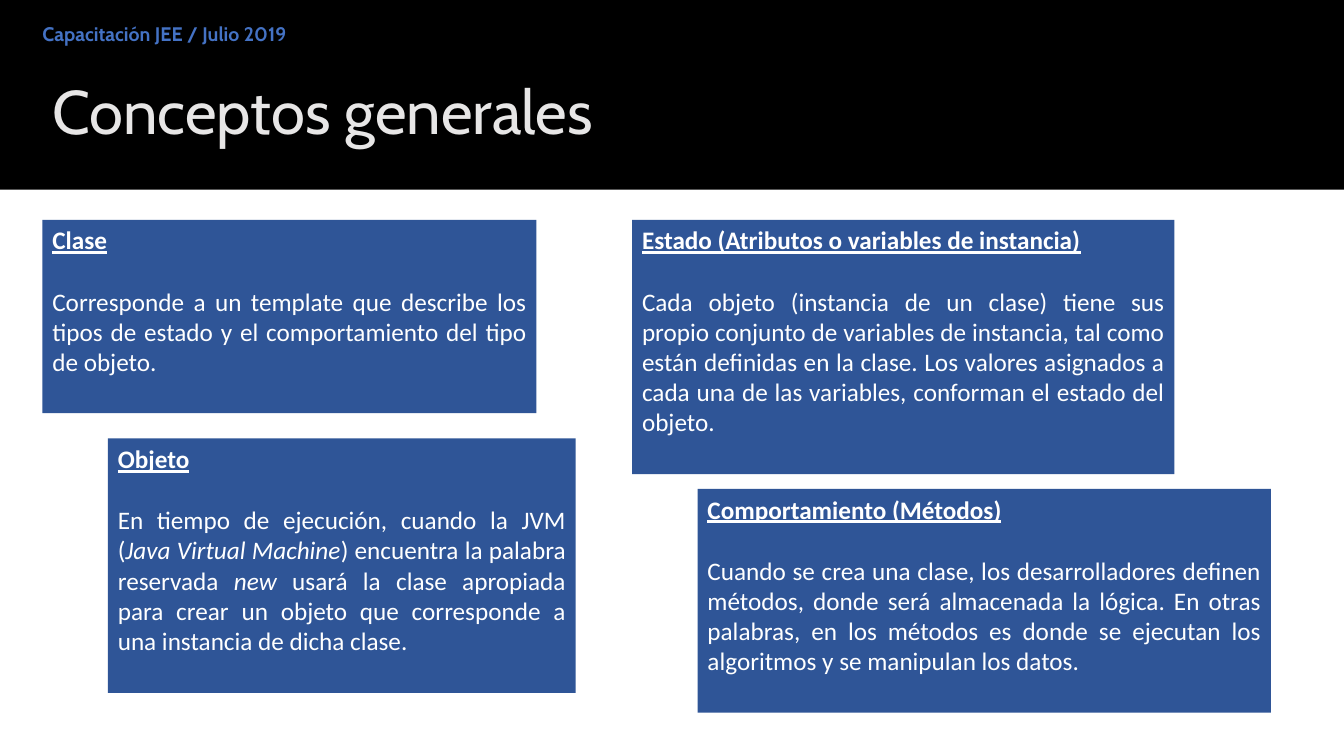
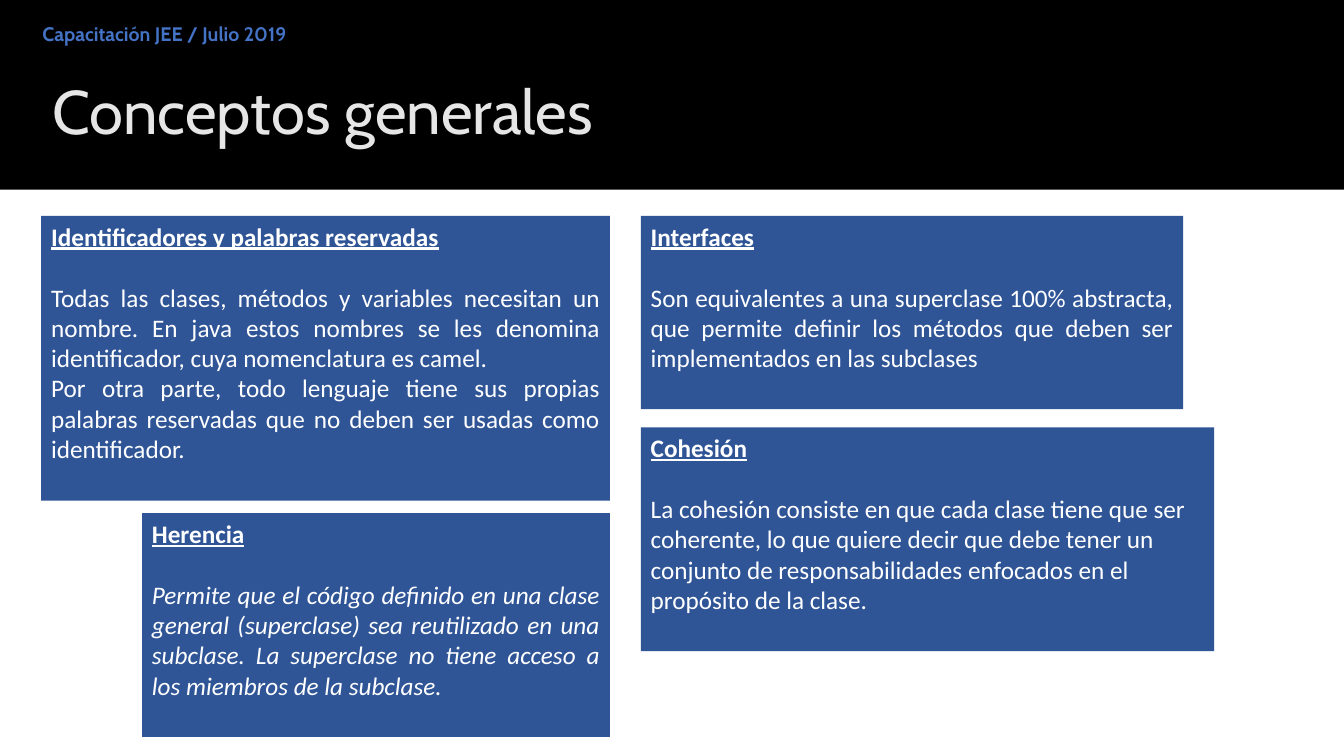
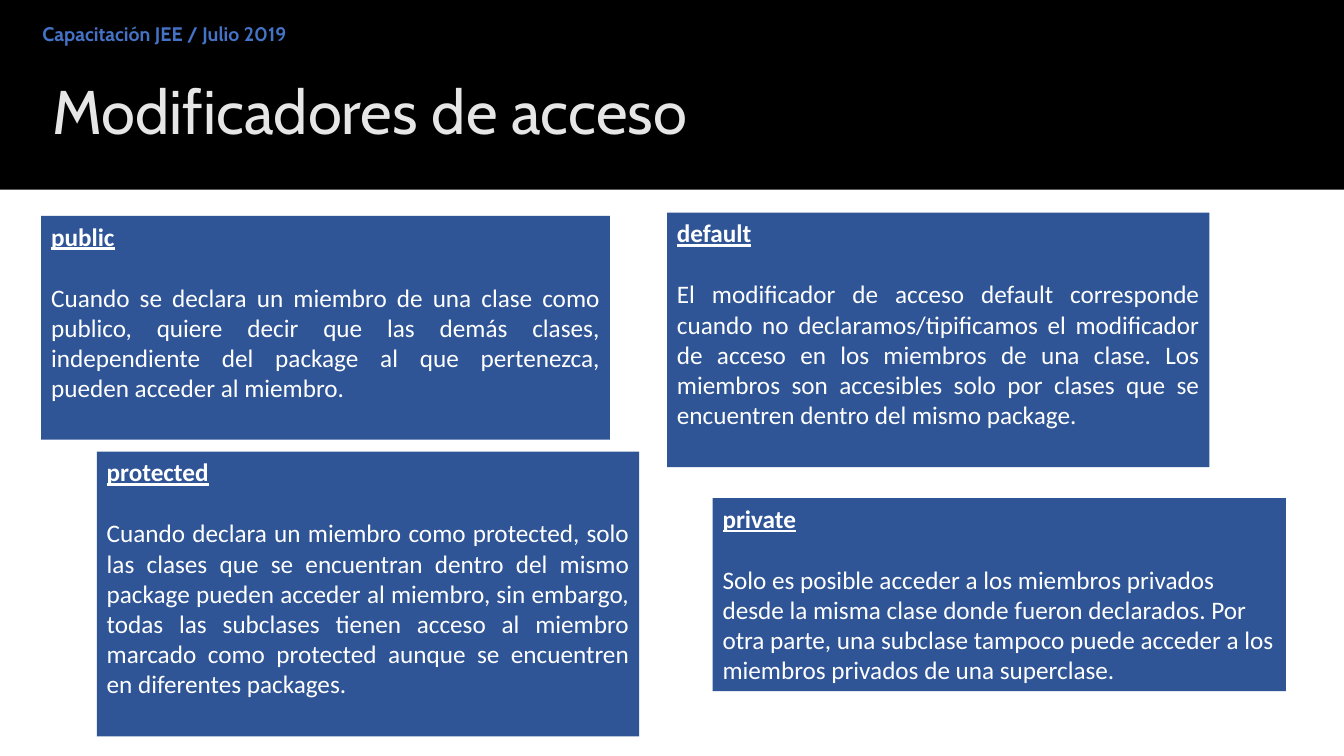
"""Build three training slides on Java concepts and access modifiers."""
from lxml.etree import SubElement
from pptx import Presentation
from pptx.dml.color import RGBColor
from pptx.enum.shapes import MSO_SHAPE
from pptx.enum.text import MSO_ANCHOR, MSO_AUTO_SIZE, PP_ALIGN
from pptx.oxml.ns import qn
from pptx.util import Cm, Pt

BLACK, WHITE, GREY = "000000", "FFFFFF", "E7E6E6"
BLUE, NAVY = "4472C4", "2F5597"
HEAD, TEXT = "Cabin", "Calibri"
WIDE, HIGH, BAND = 33.87, 19.05, 4.78
PAD, LINE = 0.25, 0.77
LEFT, FULL = PP_ALIGN.LEFT, PP_ALIGN.JUSTIFY
COURSE = "Capacitación JEE / Julio 2019"

# Each box: left, top, width (cm), lines tall, alignment, heading, paragraphs (*italic*)
SLIDES = [
    ("Conceptos generales", [
        (1.07, 5.54, 12.45, 6, FULL, "Clase", [
            "Corresponde a un template que describe los tipos de estado y el "
            "comportamiento del tipo de objeto."]),
        (2.72, 11.05, 11.79, 8, FULL, "Objeto", [
            "En tiempo de ejecución, cuando la JVM (*Java Virtual Machine*) "
            "encuentra la palabra reservada *new *usará la clase apropiada para "
            "crear un objeto que corresponde a una instancia de dicha clase."]),
        (15.93, 5.54, 13.67, 8, FULL, "Estado (Atributos o variables de instancia)", [
            "Cada objeto (instancia de un clase) tiene sus propio conjunto de "
            "variables de instancia, tal como están definidas en la clase. Los "
            "valores asignados a cada una de las variables, conforman el estado "
            "del objeto."]),
        (17.58, 12.32, 14.45, 7, FULL, "Comportamiento (Métodos)", [
            "Cuando se crea una clase, los desarrolladores definen métodos, donde "
            "será almacenada la lógica. En otras palabras, en los métodos es donde "
            "se ejecutan los algoritmos y se manipulan los datos."]),
    ]),
    ("Conceptos generales", [
        (1.04, 5.44, 14.33, 9, FULL, "Identificadores y palabras reservadas", [
            "Todas las clases, métodos y variables necesitan un nombre. En java "
            "estos nombres se les denomina identificador, cuya nomenclatura es camel.",
            "Por otra parte, todo lenguaje tiene sus propias palabras reservadas "
            "que no deben ser usadas como identificador."]),
        (3.58, 12.93, 11.79, 7, FULL, "Herencia", [
            "*Permite que el código definido en una clase general (superclase) sea "
            "reutilizado en una subclase. La superclase no tiene acceso a los "
            "miembros de la subclase.*"]),
        (16.15, 5.44, 13.67, 6, FULL, "Interfaces", [
            "Son equivalentes a una superclase 100% abstracta, que permite definir "
            "los métodos que deben ser implementados en las subclases"]),
        (16.15, 10.77, 14.45, 7, LEFT, "Cohesión", [
            "La cohesión consiste en que cada clase tiene que ser coherente, lo que "
            "quiere decir que debe tener un conjunto de responsabilidades enfocados "
            "en el propósito de la clase."]),
    ]),
    ("Modificadores de acceso", [
        (1.04, 5.44, 14.33, 7, FULL, "public", [
            "Cuando se declara un miembro de una clase como publico, quiere decir "
            "que las demás clases, independiente del package al que pertenezca, "
            "pueden acceder al miembro."]),
        (2.44, 11.38, 13.67, 9, FULL, "protected", [
            "Cuando declara un miembro como protected, solo las clases que se "
            "encuentran dentro del mismo package pueden acceder al miembro, sin "
            "embargo, todas las subclases tienen acceso al miembro marcado como "
            "protected aunque se encuentren en diferentes packages."]),
        (16.81, 5.36, 13.67, 8, FULL, "default", [
            "El modificador de acceso default corresponde cuando no "
            "declaramos/tipificamos el modificador de acceso en los miembros de una "
            "clase. Los miembros son accesibles solo por clases que se encuentren "
            "dentro del mismo package."]),
        (17.96, 12.55, 14.45, 6, LEFT, "private", [
            "Solo es posible acceder a los miembros privados desde la misma clase "
            "donde fueron declarados. Por otra parte, una subclase tampoco puede "
            "acceder a los miembros privados de una superclase."]),
    ]),
]


def color(code):
    return RGBColor.from_string(code)


def style(run, face, size, code, bold=False, italic=False, under=False):
    font = run.font
    font.name, font.size, font.color.rgb = face, Pt(size), color(code)
    font.bold, font.italic, font.underline = bold, italic, under


def place(shape, left, top, width, height):
    shape.left, shape.top = Cm(left), Cm(top)
    shape.width, shape.height = Cm(width), Cm(height)


def block(slide, left, top, width, height, fill):
    shape = slide.shapes.add_shape(
        MSO_SHAPE.RECTANGLE, Cm(left), Cm(top), Cm(width), Cm(height))
    shape.shadow.inherit = False
    shape.fill.solid()
    shape.fill.fore_color.rgb = color(fill)
    shape.line.fill.background()
    return shape


def setup(frame, anchor):
    frame.word_wrap = True
    frame.auto_size = MSO_AUTO_SIZE.NONE
    frame.vertical_anchor = anchor


def label(holder, text, anchor, size, code, bold):
    frame = holder.text_frame
    frame.text = text
    setup(frame, anchor)
    para = frame.paragraphs[0]
    para.alignment, para.line_spacing = LEFT, 0.9
    style(para.runs[0], HEAD, size, code, bold)
    return frame


def header(slide, title):
    name, body = slide.placeholders
    label(name, title, MSO_ANCHOR.MIDDLE, 44, GREY, False)
    frame = label(body, COURSE, MSO_ANCHOR.TOP, 14, BLUE, True)
    frame.margin_left = frame.margin_top = frame.margin_right = 0
    frame.margin_bottom = Cm(0.13)
    para = frame.paragraphs[0]
    para.space_before = Pt(10)
    props = para._p.get_or_add_pPr()
    props.set("marL", "0")
    props.set("indent", "0")
    SubElement(props, qn("a:buNone"))


def card(slide, left, top, width, lines, align, head, paras):
    shape = block(slide, left, top, width, PAD + LINE * lines, NAVY)
    frame = shape.text_frame
    setup(frame, MSO_ANCHOR.TOP)
    frame.text = head
    first = frame.paragraphs[0]
    first.alignment, first.space_after = LEFT, Pt(22)
    style(first.runs[0], TEXT, 18, WHITE, bold=True, under=True)
    for text in paras:
        para = frame.add_paragraph()
        para.alignment = align
        for pos, part in enumerate(text.split("*")):
            if part:
                run = para.add_run()
                run.text = part
                style(run, TEXT, 18, WHITE, italic=pos % 2 == 1)


def main():
    deck = Presentation()
    deck.slide_width, deck.slide_height = Cm(WIDE), Cm(HIGH)
    layout = deck.slide_layouts[1]
    title, body = layout.placeholders[0], layout.placeholders[1]
    place(title, 1.07, 1.57, 31.75, 2.64)
    place(body, 1.07, 0.61, 15.24, 0.64)
    pages = [deck.slides.add_slide(layout) for _ in SLIDES]
    band = block(pages[0], 0, 0, WIDE, BAND, BLACK)
    band.element.nvSpPr.cNvPr.set("id", "20")
    title.element.addprevious(band.element)
    for slide, (name, cards) in zip(pages, SLIDES):
        header(slide, name)
        for item in cards:
            card(slide, *item)
    deck.save("out.pptx")


if __name__ == "__main__":
    main()
